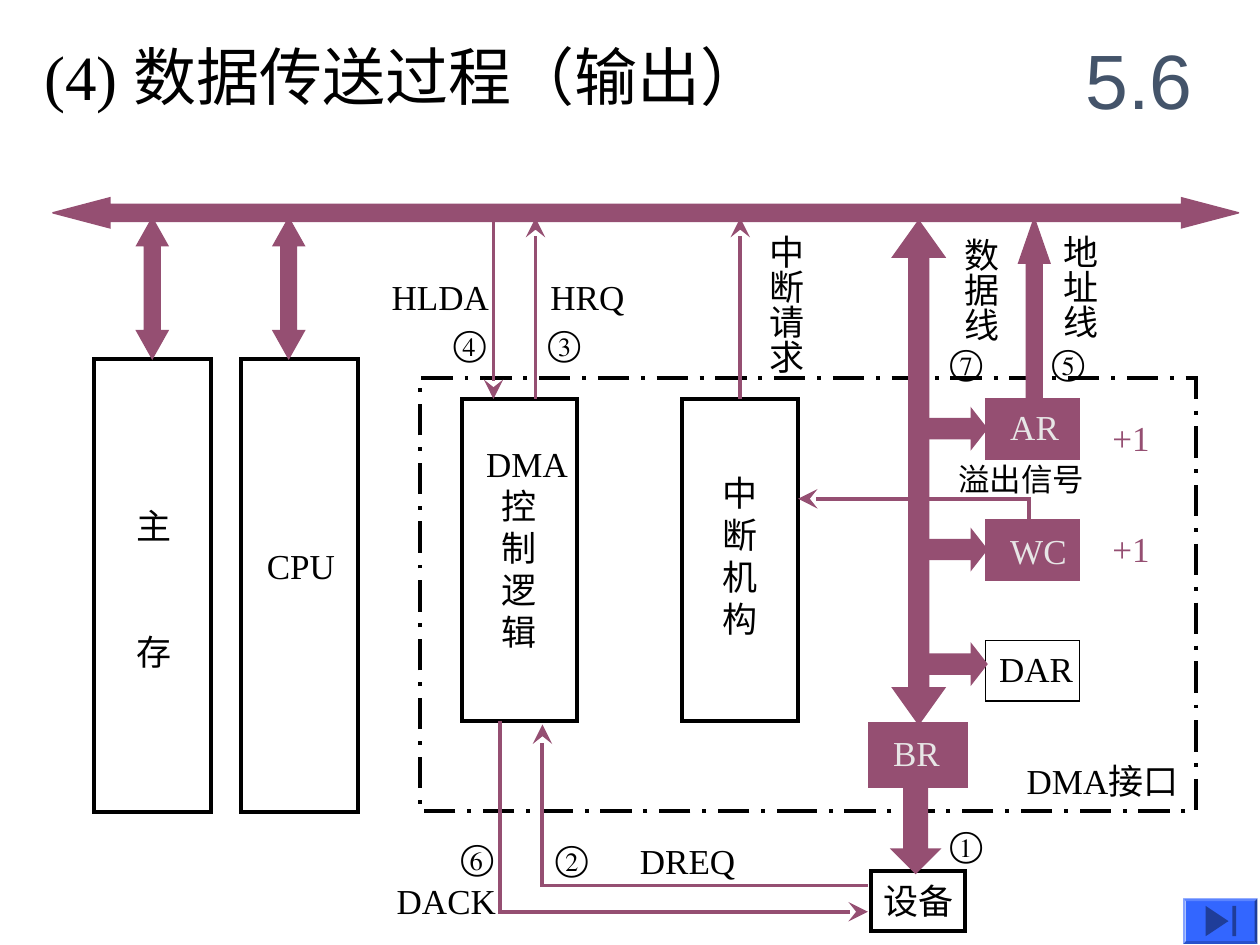
from dataclasses import dataclass

from lxml.etree import SubElement
from pptx import Presentation
from pptx.dml.color import RGBColor
from pptx.enum.dml import MSO_LINE
from pptx.enum.shapes import MSO_CONNECTOR, MSO_SHAPE
from pptx.enum.text import MSO_ANCHOR, MSO_AUTO_SIZE, PP_ALIGN
from pptx.oxml.ns import qn
from pptx.util import Pt

COLORS = {
    "ink": "000000",
    "plum": "954F72",
    "pale": "E7E6E6",
    "slate": "44546A",
    "button": "3366FF",
    "glyph": "1F3D99",
}
SERIF = "Times New Roman"
SLACK = 14


@dataclass
class Block:
    x: float
    y: float
    w: float
    h: float
    fill: str | None = None
    line: str | None = "ink"
    weight: float = 2.25
    kind: MSO_SHAPE = MSO_SHAPE.RECTANGLE
    adjust: tuple[float, ...] = ()


@dataclass
class Label:
    text: str
    x: float
    y: float
    w: float
    h: float = 31.7
    color: str = "ink"
    size: float = 20
    vertical: bool = False
    indent: float = 0
    gap: float = 0


def arrow(x: float, y: float, w: float, h: float, kind: MSO_SHAPE,
          adjust: tuple[float, ...], weight: float = 0.75) -> Block:
    return Block(x, y, w, h, "plum", "plum", weight, kind, adjust)


def register(y: float, filled: bool) -> Block:
    color = "plum" if filled else None
    return Block(563, y, 54, 34.6, color, color or "ink", 0.75)


def rgb(name: str) -> RGBColor:
    return RGBColor.from_string(COLORS[name])


def paint(shape, fill: str | None, line: str | None, weight: float = 0.75) -> None:
    shape.shadow.inherit = False
    if fill:
        shape.fill.solid()
        shape.fill.fore_color.rgb = rgb(fill)
    else:
        shape.fill.background()
    if line:
        shape.line.color.rgb = rgb(line)
        shape.line.width = Pt(weight)
        SubElement(shape._element.spPr.find(qn("a:ln")), qn("a:miter"), lim="800000")
    else:
        shape.line.fill.background()


def draw_block(shapes, block: Block):
    shape = shapes.add_shape(block.kind, Pt(block.x), Pt(block.y), Pt(block.w), Pt(block.h))
    for index, value in enumerate(block.adjust):
        shape.adjustments[index] = value
    if len(block.adjust) > 1:
        for number, guide in enumerate(shape._element.spPr.iter(qn("a:gd")), 1):
            guide.set("name", f"adj{number}")
    paint(shape, block.fill, block.line, block.weight)
    return shape


def draw_path(shapes, points: list[tuple[float, float]], closed: bool = False):
    start, *rest = [(Pt(x), Pt(y)) for x, y in points]
    builder = shapes.build_freeform(*start)
    builder.add_line_segments(rest, close=closed)
    return builder.convert_to_shape()


def add_arrowhead(shape) -> None:
    line = shape._element.spPr.find(qn("a:ln"))
    SubElement(line, qn("a:tailEnd"), type="stealth", w="lg", len="lg")


def draw_signal_path(shapes, points: list[tuple[float, float]]) -> None:
    signal = draw_path(shapes, points)
    paint(signal, None, "plum", 2.25)
    add_arrowhead(signal)


def draw_signal_line(shapes, x: float, start: float, end: float):
    signal = shapes.add_connector(MSO_CONNECTOR.STRAIGHT, Pt(x), Pt(start), Pt(x), Pt(end))
    signal.line.color.rgb = rgb("plum")
    signal.line.width = Pt(2.25)
    add_arrowhead(signal)
    SubElement(signal._element.spPr, qn("a:effectLst"))
    return signal


def style(paragraph, size: float, color: str, font: str = SERIF) -> None:
    paragraph.font.name = font
    paragraph.font.size = Pt(size)
    paragraph.font.color.rgb = rgb(color)


def draw_label(shapes, label: Label) -> None:
    width = label.w if label.vertical else label.w + SLACK
    height = label.h + SLACK if label.vertical else label.h
    frame = shapes.add_textbox(Pt(label.x), Pt(label.y), Pt(width), Pt(height)).text_frame
    frame.word_wrap = True
    frame.auto_size = MSO_AUTO_SIZE.NONE
    if label.vertical:
        frame._txBody.bodyPr.set("vert", "eaVert")
        frame.margin_left = frame.margin_right = Pt(3.6)
        frame.margin_top = frame.margin_bottom = Pt(7.2)
    frame.text = label.text
    for index, paragraph in enumerate(frame.paragraphs):
        if index and label.indent:
            paragraph._p.get_or_add_pPr().set("marL", str(Pt(label.indent)))
        if index and label.gap:
            paragraph.space_before = Pt(label.gap)
        style(paragraph, label.size, label.color)


def draw_headings(shapes) -> None:
    title = shapes.title
    title.left, title.top, title.width, title.height = Pt(18), Pt(18), Pt(450), Pt(50.4)
    title.text_frame.text = "(4) 数据传送过程（输出）"
    title.text_frame.vertical_anchor = MSO_ANCHOR.TOP
    heading = title.text_frame.paragraphs[0]
    heading.alignment = PP_ALIGN.LEFT
    style(heading, 36, "ink")

    section = shapes.add_textbox(Pt(606), Pt(12), Pt(90), Pt(66)).text_frame
    section.word_wrap = True
    section.vertical_anchor = MSO_ANCHOR.MIDDLE
    section.text = "5.6"
    section.paragraphs[0].alignment = PP_ALIGN.CENTER
    style(section.paragraphs[0], 44, "slate", "Arial")


def draw_next_button(shapes) -> None:
    draw_block(shapes, Block(676, 513.4, 42.5, 26, "button", None, kind=MSO_SHAPE.BEVEL, adjust=(0.06,)))
    triangle = draw_path(shapes, [(702, 526.4), (689, 535), (689, 517.7)], closed=True)
    paint(triangle, "glyph", None)
    draw_block(shapes, Block(704.2, 517.7, 2.2, 17.3, "glyph", None))


def main() -> None:
    """Build the slide on the DMA output transfer process."""
    deck = Presentation()
    deck.slide_width, deck.slide_height = Pt(720), Pt(540)
    shapes = deck.slides.add_slide(deck.slide_layouts[5]).shapes
    draw_headings(shapes)

    interface = draw_block(shapes, Block(240, 216, 443.5, 247.7))
    interface.line.dash_style = MSO_LINE.LONG_DASH_DOT
    for x in (54, 138):
        draw_block(shapes, Block(x, 205, 66.5, 259))
    draw_block(shapes, Block(264, 228, 66, 184))
    interrupt_unit = draw_block(shapes, Block(390, 228, 66, 184))
    draw_block(shapes, Block(497.5, 497.5, 54, 34.6))

    draw_block(shapes, arrow(30, 113, 678, 17.3, MSO_SHAPE.LEFT_RIGHT_ARROW, (0.57, 1.9)))
    for x in (78, 156):
        draw_block(shapes, arrow(x, 124.5, 18, 80.5, MSO_SHAPE.UP_DOWN_ARROW, (0.5, 0.89)))
    draw_block(shapes, arrow(510, 126, 30, 288, MSO_SHAPE.UP_DOWN_ARROW, (0.38, 0.7)))
    draw_block(shapes, arrow(582, 124.5, 18, 104, MSO_SHAPE.UP_ARROW, (0.5, 1.44)))
    draw_block(shapes, arrow(511.2, 450, 24, 48, MSO_SHAPE.DOWN_ARROW, (0.5, 0.5), 2.25))
    draw_block(shapes, register(366, False))
    for y in (233.5, 302.5, 368):
        draw_block(shapes, arrow(528, y, 36, 23, MSO_SHAPE.RIGHT_ARROW, (0.5, 0.39)))

    draw_signal_path(shapes, [(496, 506), (310, 506), (310, 414)])
    draw_signal_path(shapes, [(286, 412), (286, 521), (496, 521)])
    draw_signal_path(shapes, [(588, 297), (588, 285), (456, 285)])
    draw_signal_line(shapes, 306, 228, 124.5)
    draw_signal_line(shapes, 282, 124.5, 228)
    draw_signal_line(shapes, 423, 228, 124.5).begin_connect(interrupt_unit, 0)

    for y in (228, 297):
        draw_block(shapes, register(y, True))
    draw_block(shapes, Block(497.5, 414, 54, 34.6, "plum", "plum", 3))

    for label in (
        Label("主\n存", 71, 285, 34.6, 103.7, gap=48),
        Label("CPU", 145.4, 307.4, 53.3),
        Label("DMA\n控\n制\n逻\n辑", 270.7, 249.3, 61, 127.5, indent=9),
        Label("中\n断\n机\n构", 405.5, 265.7, 34.6, 103.7),
        Label("设备", 497.5, 499, 54),
        Label("AR", 570.2, 228.2, 41.8, color="pale"),
        Label("WC", 570.2, 298.8, 46.8, color="pale"),
        Label("BR", 503.3, 414.7, 41, color="pale"),
        Label("DAR", 563.8, 366.5, 57),
        Label("+1", 628.6, 234.7, 35.3, color="plum"),
        Label("+1", 628.6, 298, 35.3, color="plum"),
        Label("DMA接口", 579.6, 430.6, 105.8),
        Label("溢出信号", 540.4, 259.2, 86.4, 28.8, size=18),
        Label("HLDA", 216.7, 154, 69.8),
        Label("HRQ", 307.4, 154, 57),
        Label("DREQ", 358.6, 476, 69),
        Label("DACK", 219.6, 499, 71.3),
        Label("①", 535.7, 466.6, 34.6),
        Label("②", 310.3, 474.5, 34.6),
        Label("③", 306, 180, 34.6),
        Label("④", 252, 180, 34.6),
        Label("⑤", 594, 190.8, 34.6),
        Label("⑥", 256.3, 473.8, 34.6),
        Label("⑦", 535.7, 190.8, 34.6),
        Label("中断请求", 426.2, 127, 38.2, 87.8, vertical=True),
        Label("数据线", 537.8, 128.5, 38.2, 67.7, vertical=True),
        Label("地址线", 594.3, 127, 38.2, 67.7, vertical=True),
    ):
        draw_label(shapes, label)
    draw_next_button(shapes)
    deck.save("out.pptx")


if __name__ == "__main__":
    main()
